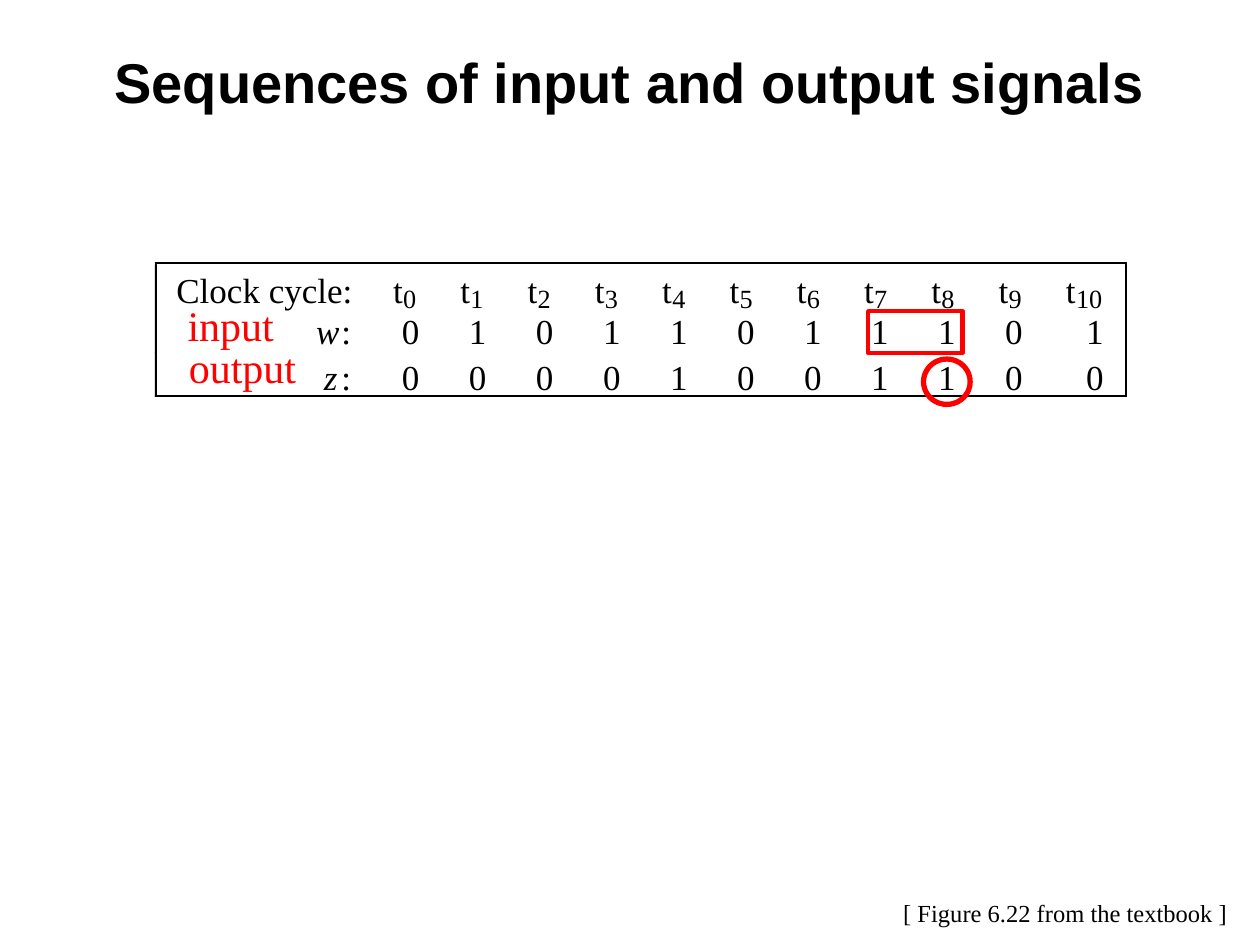
import pptx
import pptx.util
import pptx.dml.color
import pptx.enum.shapes
import pptx.enum.text

Inches = pptx.util.Inches
BLACK = pptx.dml.color.RGBColor(0, 0, 0)
RED = pptx.dml.color.RGBColor(255, 0, 0)
SERIF = "Times New Roman"
RECTANGLE = pptx.enum.shapes.MSO_SHAPE.RECTANGLE
OVAL = pptx.enum.shapes.MSO_SHAPE.OVAL

# Content
TITLE = "Sequences of input and output signals"
CLOCK_LABEL = "Clock cycle:"
SIGNALS = [  # name, name left, row top, values
    ("w", 2.51, 2.46, "01011011101"),
    ("z", 2.57, 2.82, "00001001100"),
]
CALLOUTS = [  # text, left, top, width, height, size, colour
    ("[ Figure 6.22 from the textbook ]", 7.07, 7.08, 2.78, 0.34, 14, BLACK),
    ("input", 1.39, 2.33, 0.92, 0.5, 24, RED),
    ("output", 1.4, 2.66, 1.08, 0.5, 24, RED),
]
HIGHLIGHTS = [  # shape, left, top, width, height, line width
    (RECTANGLE, 6.89, 2.47, 0.75, 0.33, 2.5),
    (OVAL, 7.33, 2.85, 0.37, 0.36, 3),
]

# Grid of the signal table, in inches
FRAME_LEFT, FRAME_WIDTH, RULE = 1.23, 7.71, 0.01
FRAME_RIGHT = FRAME_LEFT + FRAME_WIDTH - RULE
FRAME_TOP, FRAME_BOTTOM = 2.08, 3.14
FRAME_ROWS = [(2.1, 0.36), (2.46, 0.34), (2.79, 0.36)]
CLOCK_TOP, SUBSCRIPT_TOP, ROW_HEIGHT = 2.13, 2.24, 0.33
TIME_LEFT, TIME_STEP, SUBSCRIPT_SHIFT = 3.12, 5.34 / 10, 0.08
VALUE_LEFT, VALUE_STEP = 3.19, 5.32 / 10
DIGIT_WIDTH, TWO_DIGIT_SHIFT = 0.21, 0.11


def format_font(font, color=BLACK, **values):
    font.color.rgb = color
    for name, value in values.items():
        setattr(font, name, value)


def add_text(shapes, text, left, top, width, height, size=20,
             color=BLACK, italic=False, margins=(0, 0)):
    box = shapes.add_textbox(*map(Inches, (left, top, width, height)))
    frame = box.text_frame
    horizontal, vertical = map(Inches, margins)
    settings = {
        "margin_left": horizontal, "margin_right": horizontal,
        "margin_top": vertical, "margin_bottom": vertical,
        "word_wrap": False,
        "auto_size": pptx.enum.text.MSO_AUTO_SIZE.SHAPE_TO_FIT_TEXT,
    }
    for name, value in settings.items():
        setattr(frame, name, value)
    run = frame.paragraphs[0].add_run()
    run.text = text
    format_font(run.font, name=SERIF, size=pptx.util.Pt(size),
                color=color, italic=italic)


def add_outline(shapes, kind, left, top, width, height, color, weight, fill=None):
    shape = shapes.add_shape(kind, *map(Inches, (left, top, width, height)))
    shape.shadow.inherit = False
    if fill is None:
        shape.fill.background()
    else:
        shape.fill.solid()
        shape.fill.fore_color.rgb = fill
    shape.line.color.rgb = color
    shape.line.width = pptx.util.Pt(weight)


def add_title(slide):
    title = slide.shapes.title
    title.left, title.top = Inches(0), Inches(0.33)
    title.width, title.height = Inches(10), Inches(0.75)
    title.text_frame.vertical_anchor = pptx.enum.text.MSO_ANCHOR.TOP
    paragraph = title.text_frame.paragraphs[0]
    paragraph.alignment = pptx.enum.text.PP_ALIGN.CENTER
    run = paragraph.add_run()
    run.text = TITLE
    format_font(run.font, name="Arial", size=pptx.util.Pt(32), bold=True)


def add_signal_table(shapes):
    # Frame rules
    rules = [(FRAME_LEFT, top, FRAME_WIDTH, RULE) for top in (FRAME_TOP, FRAME_BOTTOM)]
    rules += [(left, top, RULE, height) for top, height in FRAME_ROWS
              for left in (FRAME_LEFT, FRAME_RIGHT)]
    for rule in rules:
        add_outline(shapes, RECTANGLE, *rule, BLACK, 0.5, fill=BLACK)

    # Clock cycle row
    add_text(shapes, CLOCK_LABEL, 1.4, CLOCK_TOP, 1.47, ROW_HEIGHT)
    for cycle in range(len(SIGNALS[0][3])):
        left = TIME_LEFT + cycle * TIME_STEP
        add_text(shapes, "t", left, CLOCK_TOP, 0.15, ROW_HEIGHT)
        add_text(shapes, str(cycle), left + SUBSCRIPT_SHIFT, SUBSCRIPT_TOP,
                 DIGIT_WIDTH if cycle > 9 else 0.16, 0.25, size=15)

    # Signal rows; values line up under the last digit of the subscript
    for name, name_left, top, values in SIGNALS:
        add_text(shapes, name, name_left, top, 0.2, ROW_HEIGHT, italic=True)
        add_text(shapes, ":", 2.71, top, 0.15, ROW_HEIGHT)
        for cycle, value in enumerate(values):
            left = VALUE_LEFT + cycle * VALUE_STEP
            if cycle > 9:
                left += TWO_DIGIT_SHIFT
            add_text(shapes, value, left, top, DIGIT_WIDTH, ROW_HEIGHT)


def main():
    presentation = pptx.Presentation()
    presentation.slide_width, presentation.slide_height = Inches(10), Inches(7.5)
    slide = presentation.slides.add_slide(presentation.slide_layouts[5])
    add_title(slide)
    add_signal_table(slide.shapes.add_group_shape().shapes)

    # Labels, credit and highlights
    for text, left, top, width, height, size, color in CALLOUTS:
        add_text(slide.shapes, text, left, top, width, height, size, color,
                 margins=(0.1, 0.05))
    for kind, left, top, width, height, weight in HIGHLIGHTS:
        add_outline(slide.shapes, kind, left, top, width, height, RED, weight)
    presentation.save("out.pptx")


if __name__ == "__main__":
    main()
